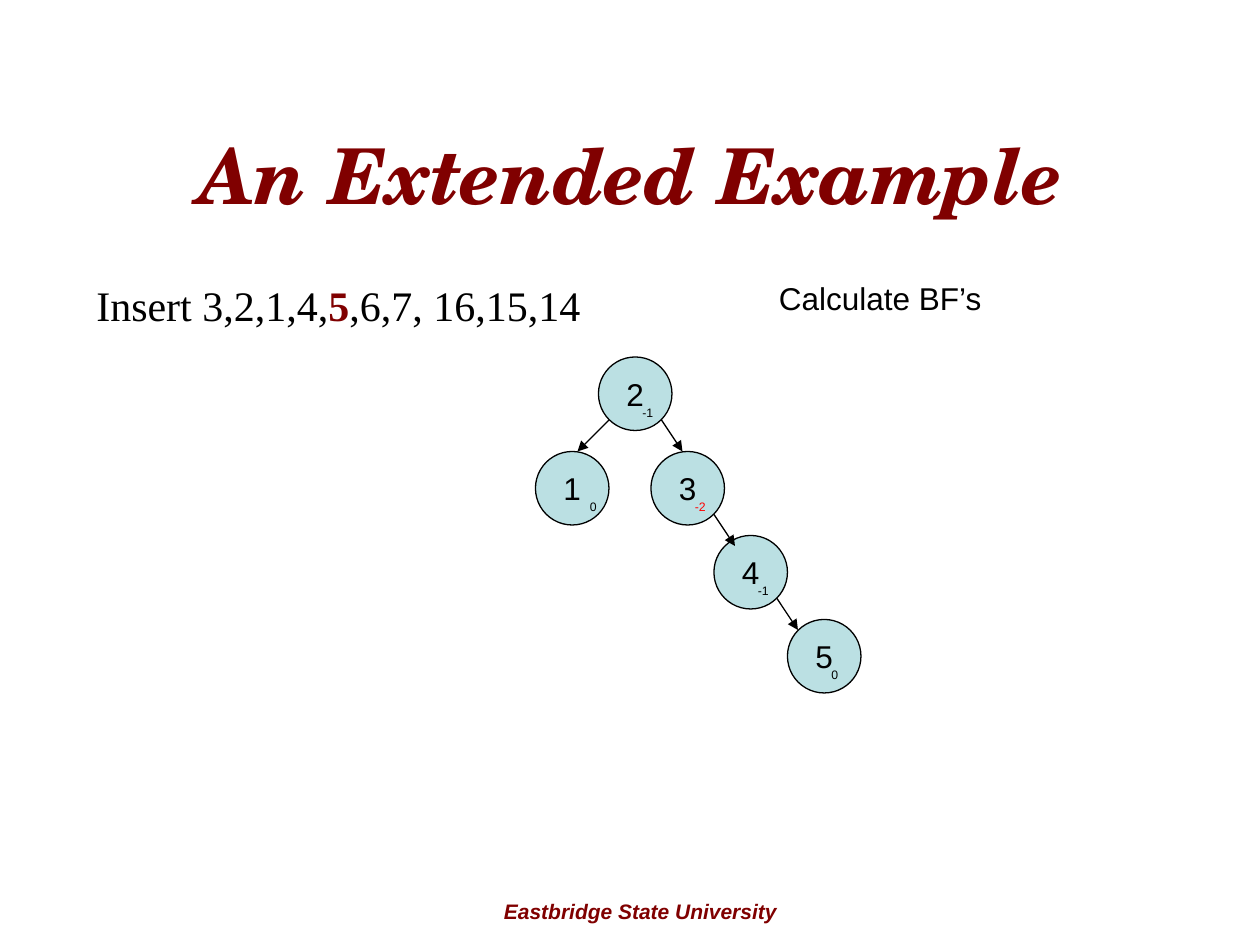
from lxml.etree import SubElement
from pptx import Presentation
from pptx.dml.color import RGBColor
from pptx.enum.shapes import MSO_CONNECTOR, MSO_SHAPE
from pptx.enum.text import MSO_ANCHOR, MSO_AUTO_SIZE, PP_ALIGN
from pptx.oxml.ns import qn
from pptx.util import Inches, Pt

COLORS = {"maroon": "800000", "black": "000000", "red": "FF0000", "node": "BBE0E3"}
NODE_SIZE = 7
SPACING_SHARE = 0.625


def grid(cells):
    return Inches(cells / 12)


def color(name):
    return RGBColor.from_string(COLORS[name])


def set_font(font, size, ink="black", name="Arial", strong=False):
    font.name = name
    font.size = Pt(size)
    font.bold = font.italic = strong
    font.color.rgb = color(ink)


def add_text(slide, box, text, size, ink="black", name="Arial", strong=False,
             align=PP_ALIGN.LEFT):
    shape = slide.shapes.add_textbox(*map(grid, box))
    frame = shape.text_frame
    frame.word_wrap = True
    frame.auto_size = MSO_AUTO_SIZE.SHAPE_TO_FIT_TEXT
    paragraph = frame.paragraphs[0]
    paragraph.text = text
    paragraph.alignment = align
    paragraph.space_before = Pt(size * SPACING_SHARE)
    set_font(paragraph.font, size, ink, name, strong)
    return shape


def add_title(slide, text):
    shape = add_text(slide, (6, 9, 108, 15), text, 44, "maroon",
                     "TeX Gyre Schola", True, PP_ALIGN.CENTER)
    frame = shape.text_frame
    frame.auto_size = MSO_AUTO_SIZE.NONE
    frame.vertical_anchor = MSO_ANCHOR.MIDDLE
    frame.paragraphs[0].space_before = Pt(0)


def add_insert_sequence(slide, before, current, after):
    shape = add_text(slide, (8, 26, 85, 6), before, 24, name="Times New Roman")
    paragraph = shape.text_frame.paragraphs[0]
    current_run = paragraph.add_run()
    current_run.text = current
    current_run.font.bold = True
    current_run.font.color.rgb = color("maroon")
    paragraph.add_run().text = after


def add_node(slide, key, column, row):
    shape = slide.shapes.add_shape(
        MSO_SHAPE.OVAL, *map(grid, (column, row, NODE_SIZE, NODE_SIZE)))
    shape.shadow.inherit = False
    shape.fill.solid()
    shape.fill.fore_color.rgb = color("node")
    shape.line.color.rgb = color("black")
    shape.line.width = Pt(0.75)
    frame = shape.text_frame
    frame.word_wrap = False
    frame.vertical_anchor = MSO_ANCHOR.MIDDLE
    paragraph = frame.paragraphs[0]
    paragraph.text = key
    paragraph.alignment = PP_ALIGN.CENTER
    set_font(paragraph.font, 18)


def add_arrow(slide, *ends):
    connector = slide.shapes.add_connector(MSO_CONNECTOR.STRAIGHT, *map(grid, ends))
    connector.line.color.rgb = color("black")
    connector.line.width = Pt(0.75)
    SubElement(connector.line._get_or_add_ln(), qn("a:tailEnd"), type="triangle")
    SubElement(connector._element.spPr, qn("a:effectLst"))


def main():
    presentation = Presentation()
    presentation.slide_width = Inches(10)
    presentation.slide_height = Inches(7.5)
    slide = presentation.slides.add_slide(presentation.slide_layouts[6])

    add_text(slide, (42, 85, 38, 3.6), "Eastbridge State University", 12,
             "maroon", strong=True, align=PP_ALIGN.CENTER)
    add_title(slide, "An Extended Example")
    add_insert_sequence(slide, "Insert 3,2,1,4,", "5", ",6,7, 16,15,14")
    add_text(slide, (73, 26, 40, 4.8), "Calculate BF’s", 18)

    nodes = [
        ("1", 51, 43, "0", 4, "black"),
        ("2", 57, 34, "-1", 3, "black"),
        ("3", 62, 43, "-2", 3, "red"),
        ("4", 68, 51, "-1", 3, "black"),
        ("5", 75, 59, "0", 3, "black"),
    ]
    for key, column, row, balance, offset, ink in nodes:
        add_node(slide, key, column, row)
        add_text(slide, (column + offset, row + 4, 4, 2.6), balance, 7, ink)

    arrows = [(58, 40, 55, 43), (63, 40, 65, 43), (68, 49, 70, 52), (74, 57, 76, 60)]
    for ends in arrows:
        add_arrow(slide, *ends)

    presentation.save("out.pptx")


if __name__ == "__main__":
    main()
